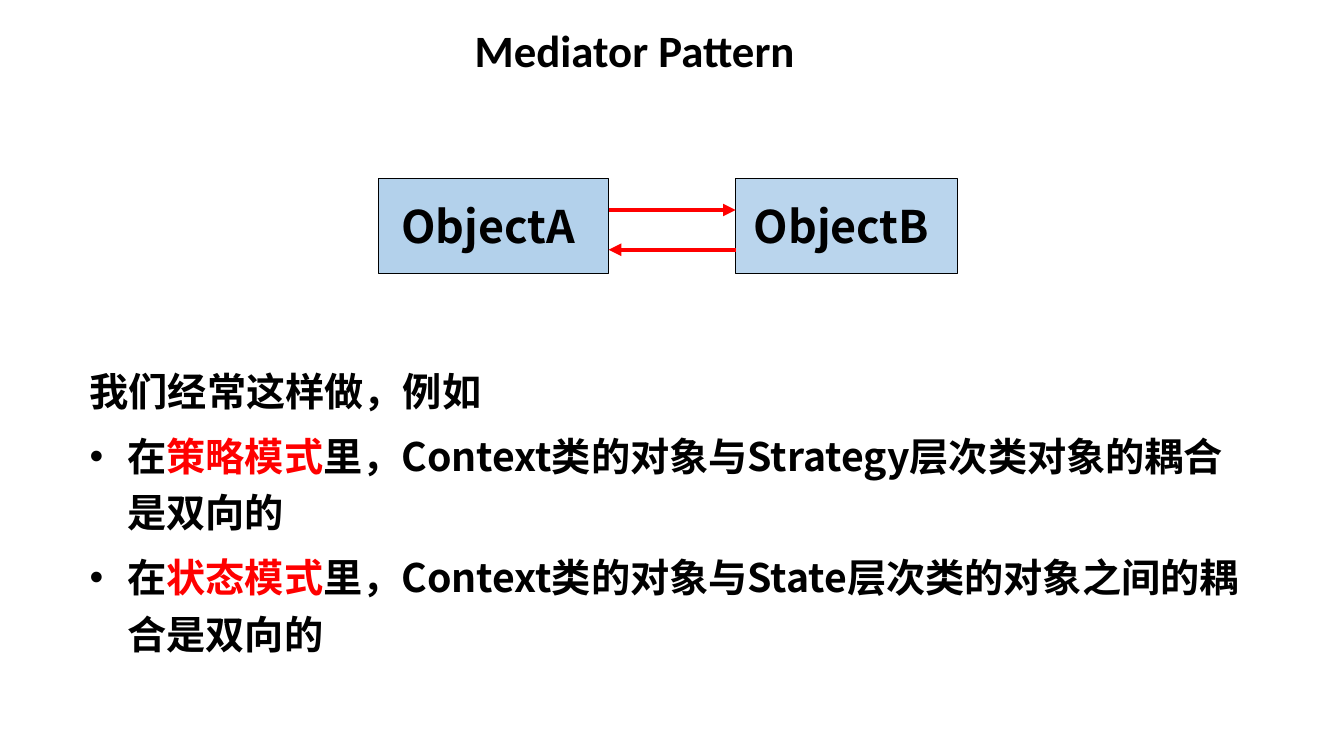
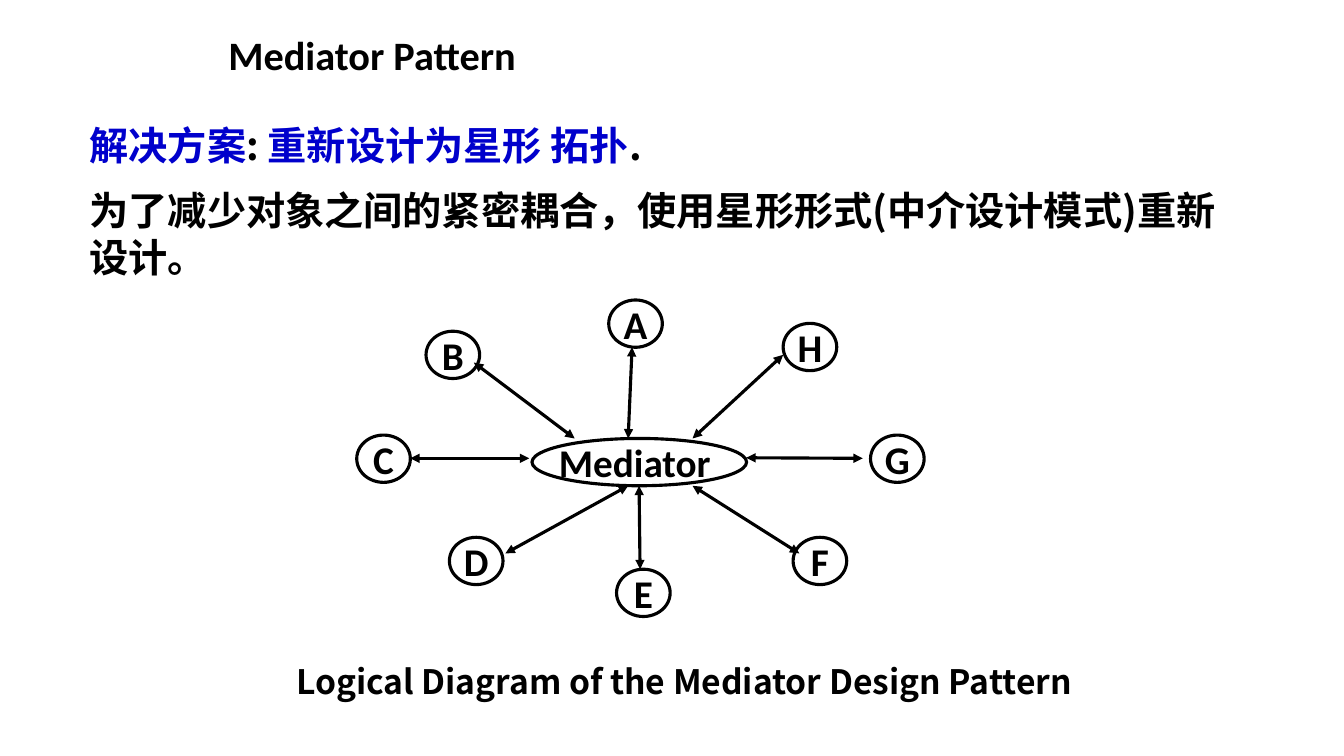
from dataclasses import dataclass
from typing import Any

import pptx
import pptx.dml.color
import pptx.enum.shapes
import pptx.enum.text
import pptx.oxml
import pptx.oxml.ns
import pptx.util
from lxml import etree

Pt = pptx.util.Pt
Align = pptx.enum.text.PP_ALIGN
Anchor = pptx.enum.text.MSO_ANCHOR
Shape = pptx.enum.shapes.MSO_SHAPE
qn = pptx.oxml.ns.qn

COLORS = {"black": "000000", "white": "FFFFFF", "red": "FF0000",
          "blue": "0000CC", "sky": "5B9BD5"}
LATIN = "Calibri"
HAN = "Noto Sans CJK SC"


@dataclass(frozen=True)
class Area:
    x: float
    y: float
    w: float
    h: float


@dataclass(frozen=True)
class Style:
    face: str
    size: float
    align: Any = Align.LEFT
    lines: float = 1.0
    gap: float = 0
    hang: float = 0


@dataclass(frozen=True)
class Para:
    runs: tuple[tuple[str, str], ...]
    dot: bool = False


@dataclass(frozen=True)
class Box:
    text: str
    area: Area
    alpha: int


@dataclass(frozen=True)
class Line:
    x1: float
    y1: float
    x2: float
    y2: float


@dataclass(frozen=True)
class Node:
    text: str
    x: float
    y: float
    link: Line


def color(name: str) -> Any:
    return pptx.dml.color.RGBColor.from_string(COLORS[name])


def write(frame: Any, paras: list[Para], style: Style) -> None:
    for i, item in enumerate(paras):
        para = frame.add_paragraph() if i else frame.paragraphs[0]
        para.alignment = style.align
        para.line_spacing = style.lines
        para.space_before = Pt(style.gap if i else 0)
        props = para._p.get_or_add_pPr()
        if style.hang:
            props.set("marL", str(Pt(style.hang)))
            props.set("indent", str(-Pt(style.hang)))
        if item.dot:
            etree.SubElement(props, qn("a:buFont")).set("typeface", "Arial")
            etree.SubElement(props, qn("a:buChar")).set("char", "•")
        font = para.font
        font.size = Pt(style.size)
        font.bold = True
        font.color.rgb = color("black")
        font.name = style.face
        east = etree.SubElement(props.find(qn("a:defRPr")), qn("a:ea"))
        east.set("typeface", style.face)
        for text, tint in item.runs:
            run = para.add_run()
            run.text = text
            if tint != "black":
                run.font.color.rgb = color(tint)


def plain(text: str) -> list[Para]:
    return [Para(((text, "black"),))]


def add_text(slide: Any, area: Area, paras: list[Para], style: Style,
             anchor: Any = Anchor.TOP) -> None:
    box = slide.shapes.add_textbox(*map(Pt, (area.x, area.y, area.w, area.h)))
    frame = box.text_frame
    frame.word_wrap = True
    frame.vertical_anchor = anchor
    write(frame, paras, style)


def add_title(slide: Any, area: Area, size: float) -> None:
    add_text(slide, area, plain("Mediator Pattern"),
             Style(LATIN, size, lines=0.9), Anchor.MIDDLE)


def add_label(slide: Any, kind: Any, area: Area, text: str, style: Style,
              fill: str, width: float) -> Any:
    shape = slide.shapes.add_shape(
        kind, *map(Pt, (area.x, area.y, area.w, area.h)))
    shape.shadow.inherit = False
    shape.fill.solid()
    shape.fill.fore_color.rgb = color(fill)
    shape.line.color.rgb = color("black")
    shape.line.width = Pt(width)
    frame = shape.text_frame
    frame.word_wrap = False
    frame.vertical_anchor = Anchor.MIDDLE
    write(frame, plain(text), style)
    return shape


def add_arrow(slide: Any, line: Line, tint: str, width: float,
              both: bool = False) -> None:
    link = slide.shapes.add_connector(
        pptx.enum.shapes.MSO_CONNECTOR.STRAIGHT,
        *map(Pt, (line.x1, line.y1, line.x2, line.y2)))
    link.line.color.rgb = color(tint)
    link.line.width = Pt(width)
    stroke = link.line._get_or_add_ln()
    for end in ("a:headEnd", "a:tailEnd") if both else ("a:tailEnd",):
        etree.SubElement(stroke, qn(end)).set("type", "triangle")
    etree.SubElement(link._element.spPr, qn("a:effectLst"))


BODY = Style(HAN, 28, lines=1.2, gap=6, hang=27)
PLAN = Style(HAN, 28, gap=13)
OBJECT = Style(HAN, 32, Align.CENTER)
NODE = Style(LATIN, 28, Align.CENTER)
NOTE = Style(HAN, 24, Align.CENTER)

BOXES = [Box("ObjectA ", Area(270.3, 127.5, 164.2, 67.8), 46),
         Box("ObjectB ", Area(525.5, 127.5, 158.5, 67.8), 42)]
ARROWS = [Line(434.8, 150, 525.5, 150), Line(525.5, 178.4, 434.8, 178.4)]
USES = [
    Para((("我们经常这样做，例如", "black"),)),
    Para((("在", "black"), ("策略模式", "red"),
          ("里，Context类的对象与Strategy层次类对象的耦合是双向的", "black")), True),
    Para((("在", "black"), ("状态模式", "red"),
          ("里，Context类的对象与State层次类的对象之间的耦合是双向的", "black")), True),
]
NODES = [
    Node("A", 434.8, 214.3, Line(451.5, 248, 448.7, 313.2)),
    Node("B", 304.3, 236.6, Line(338.5, 259, 410.5, 313.2)),
    Node("C", 254.8, 310.8, Line(293, 327.4, 378, 327.4)),
    Node("D", 321, 383.8, Line(361, 395.3, 448.7, 347)),
    Node("E", 440.4, 406.6, Line(456.5, 347, 457.2, 406.6)),
    Node("F", 566.5, 383.8, Line(494.7, 347, 571, 395.3)),
    Node("G", 621.8, 310.8, Line(533, 327, 616.3, 327.4)),
    Node("H", 559.4, 231, Line(559.4, 253.5, 494.7, 313.2)),
]
STAR = [
    Para((("解决方案", "blue"), (": ", "black"),
          ("重新设计为星形 拓扑", "blue"), (".", "black"))),
    Para((("为了减少对象之间的紧密耦合，使用星形形式(中介设计模式)重新设计。",
           "black"),)),
]


def draw_pair(slide: Any) -> None:
    add_title(slide, Area(332, 16, 318, 44), 32)
    add_text(slide, Area(57, 252, 846, 225), USES, BODY)
    for box in BOXES:
        shape = add_label(slide, Shape.RECTANGLE, box.area, box.text,
                          OBJECT, "sky", 0.75)
        tint = shape._element.spPr.find(qn("a:solidFill"))[0]
        etree.SubElement(tint, qn("a:alpha")).set("val", str(box.alpha * 1000))
    for line in ARROWS:
        add_arrow(slide, line, "red", 3)


def draw_star(slide: Any) -> None:
    add_title(slide, Area(156, 21.5, 648, 39), 28.8)
    for node in NODES:
        add_label(slide, Shape.OVAL, Area(node.x, node.y, 38.3, 33.8),
                  node.text, NODE, "white", 2.25)
    add_label(slide, Shape.OVAL, Area(380, 313.2, 153.3, 33.8),
              "Mediator ", NODE, "white", 2.25)
    for node in NODES:
        add_arrow(slide, node.link, "black", 2.25, True)
    add_text(slide, Area(185, 468.5, 607, 36),
             plain("Logical Diagram of the Mediator Design Pattern"), NOTE)
    add_text(slide, Area(57, 83, 834, 126), STAR, PLAN)


def main() -> None:
    deck = pptx.Presentation()
    deck.slide_width = Pt(960)
    deck.slide_height = Pt(540)
    for draw in (draw_pair, draw_star):
        draw(deck.slides.add_slide(deck.slide_layouts[6]))
    deck.save("out.pptx")


if __name__ == "__main__":
    main()
